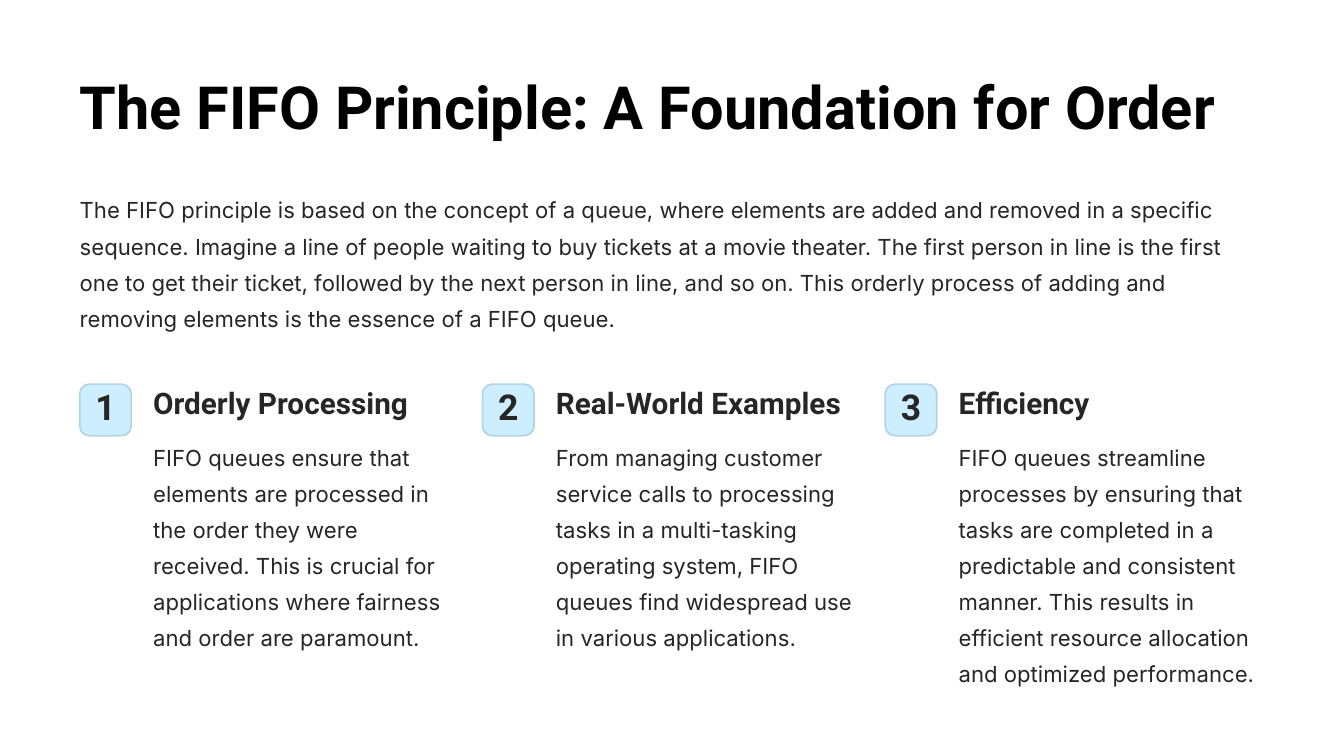
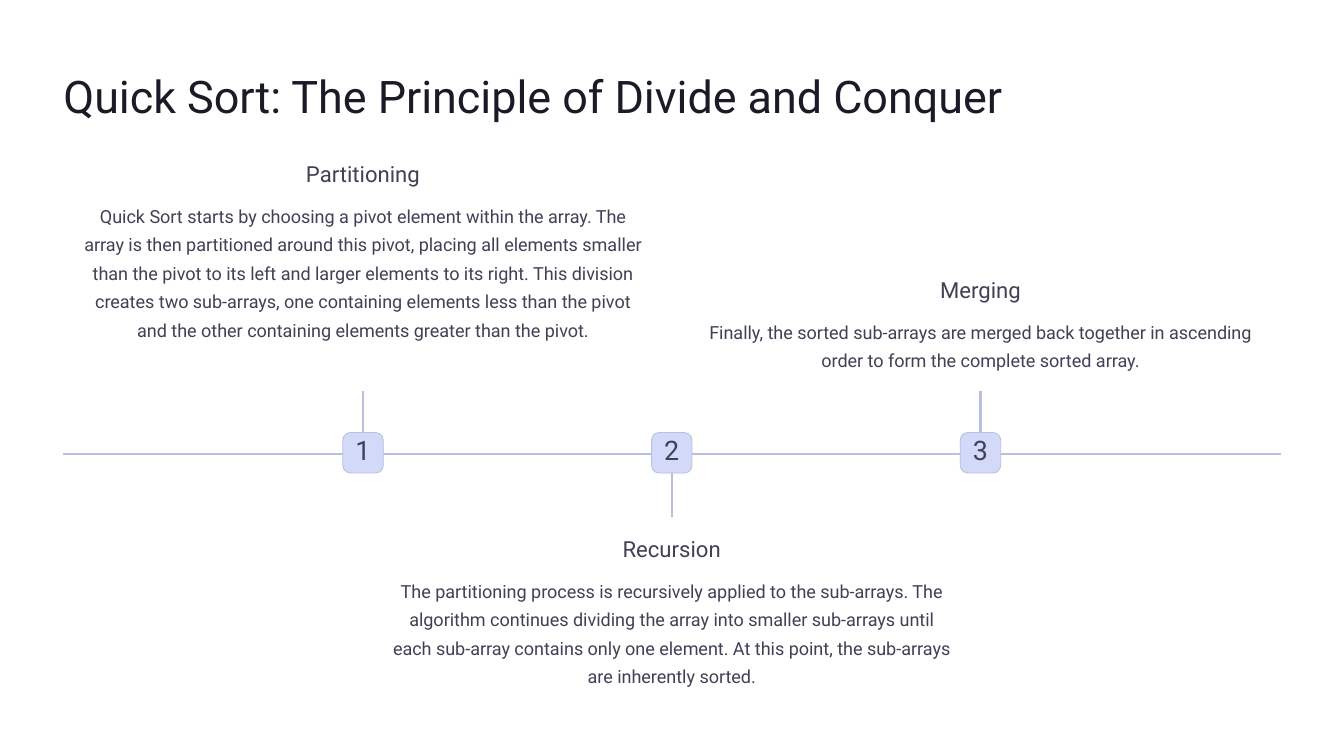
from dataclasses import dataclass

from lxml.etree import SubElement
from pptx import Presentation
from pptx.dml.color import RGBColor as Rgb
from pptx.enum.shapes import MSO_CONNECTOR as Connector, MSO_SHAPE as Preset
from pptx.enum.text import MSO_ANCHOR as Anchor, PP_ALIGN as Align
from pptx.oxml.ns import qn
from pptx.util import Cm, Pt


@dataclass(frozen=True)
class TextStyle:
    size: float
    leading: float
    color: str
    font: str = "Roboto"
    bold: bool = False
    align: Align = Align.LEFT
    wrap: bool = False


@dataclass(frozen=True)
class BadgeStyle:
    side: float
    fill: str
    line: str
    weight: float
    text: TextStyle


class Theme:
    ink = "272525"
    slate = "404155"
    rail = "B8BFDF"
    rail_weight = 1.5
    corner = 0.187

    fifo_title = TextStyle(42.5, 52.9, "000000", bold=True)
    fifo_head = TextStyle(21.2, 26.2, ink, bold=True)
    fifo_body = TextStyle(15.8, 25.8, ink, font="Inter", wrap=True)
    fifo_badge = BadgeStyle(1.3, "CCEEFF", "B2D4E5", 1.2, TextStyle(
        25.4, 25.4, ink, bold=True, align=Align.CENTER))

    sort_title = TextStyle(32.1, 40, "1B1B27")
    sort_head = TextStyle(15.8, 20, slate, align=Align.CENTER)
    sort_body = TextStyle(12.9, 20.4, slate, align=Align.CENTER, wrap=True)
    sort_badge = BadgeStyle(1.02, "D2D9F9", rail, 0.6, TextStyle(
        19.2, 19.2, slate, align=Align.CENTER))


FIFO_INTRO = (
    "The FIFO principle is based on the concept of a queue, where elements are "
    "added and removed in a specific sequence. Imagine a line of people waiting "
    "to buy tickets at a movie theater. The first person in line is the first "
    "one to get their ticket, followed by the next person in line, and so on. "
    "This orderly process of adding and removing elements is the essence of a "
    "FIFO queue."
)

FIFO_POINTS = [
    ("Orderly Processing",
     "FIFO queues ensure that elements are processed in the order they were "
     "received. This is crucial for applications where fairness and order are "
     "paramount."),
    ("Real-World Examples",
     "From managing customer service calls to processing tasks in a "
     "multi-tasking operating system, FIFO queues find widespread use in "
     "various applications."),
    ("Efficiency",
     "FIFO queues streamline processes by ensuring that tasks are completed in "
     "a predictable and consistent manner. This results in efficient resource "
     "allocation and optimized performance."),
]

SORT_STEPS = [
    ("Partitioning", 4.01, 4.37, -1,
     "Quick Sort starts by choosing a pivot element within the array. The array "
     "is then partitioned around this pivot, placing all elements smaller than "
     "the pivot to its left and larger elements to its right. This division "
     "creates two sub-arrays, one containing elements less than the pivot and "
     "the other containing elements greater than the pivot."),
    ("Recursion", 13.46, 2.92, 1,
     "The partitioning process is recursively applied to the sub-arrays. The "
     "algorithm continues dividing the array into smaller sub-arrays until each "
     "sub-array contains only one element. At this point, the sub-arrays are "
     "inherently sorted."),
    ("Merging", 6.93, 1.45, -1,
     "Finally, the sorted sub-arrays are merged back together in ascending "
     "order to form the complete sorted array."),
]


def apply_format(target, values):
    for name, value in values.items():
        setattr(target, name, value)


def write_text(shape, text, style, margin_top=0):
    frame = shape.text_frame
    apply_format(frame, {
        "margin_left": 0, "margin_right": 0, "margin_bottom": 0,
        "margin_top": Cm(margin_top), "word_wrap": style.wrap,
        "vertical_anchor": Anchor.TOP,
    })
    para = frame.paragraphs[0]
    apply_format(para, {"alignment": style.align,
                        "line_spacing": Pt(style.leading)})
    span = para.add_run()
    span.text = text
    apply_format(span.font, {"name": style.font, "size": Pt(style.size),
                             "bold": style.bold})
    span.font.color.rgb = Rgb.from_string(style.color)


def add_text(page, text, style, left, top, width, height):
    box = page.shapes.add_textbox(Cm(left), Cm(top), Cm(width), Cm(height))
    write_text(box, text, style)


def add_badge(page, number, style, left, top):
    side = Cm(style.side)
    badge = page.shapes.add_shape(
        Preset.ROUNDED_RECTANGLE, Cm(left), Cm(top), side, side)
    badge.adjustments[0] = Theme.corner
    badge.shadow.inherit = False
    badge.fill.solid()
    badge.fill.fore_color.rgb = Rgb.from_string(style.fill)
    badge.line.color.rgb = Rgb.from_string(style.line)
    badge.line.width = Pt(style.weight)
    write_text(badge, str(number), style.text, margin_top=0.12)


def add_rail(page, x1, y1, x2, y2):
    rail = page.shapes.add_connector(
        Connector.STRAIGHT, Cm(x1), Cm(y1), Cm(x2), Cm(y2))
    rail.line.color.rgb = Rgb.from_string(Theme.rail)
    rail.line.width = Pt(Theme.rail_weight)
    SubElement(rail._element.spPr, qn("a:effectLst"))


def add_page(deck):
    return deck.slides.add_slide(deck.slide_layouts[6])


def build_fifo_page(deck):
    page = add_page(deck)
    margin, top, pitch, indent = 2.01, 9.68, 10.15, 1.85
    add_text(page, "The FIFO Principle: A Foundation for Order",
             Theme.fifo_title, margin, 1.7, 29.74, 1.88)
    add_text(page, FIFO_INTRO, Theme.fifo_body, margin, 4.72, 29.87, 3.66)
    for index, (head, body) in enumerate(FIFO_POINTS):
        left = margin + index * pitch
        add_badge(page, index + 1, Theme.fifo_badge, left, top)
        add_text(page, head, Theme.fifo_head, left + indent, top, 7.49, 0.94)
        add_text(page, body, Theme.fifo_body,
                 left + indent, top + 1.27, 7.72, 6.4)


def build_sort_page(deck):
    page = add_page(deck)
    margin, axis, first, pitch, stem = 1.6, 11.44, 9.15, 7.78, 1.6
    head_width, body_width = 5.69, 14.2
    side = Theme.sort_badge.side
    add_text(page, "Quick Sort: The Principle of Divide and Conquer",
             Theme.sort_title, margin, 1.68, 25.5, 1.42)
    add_rail(page, margin, axis, 32.28, axis)
    for index, (head, top, height, side_of_axis, body) in enumerate(SORT_STEPS):
        center = first + index * pitch
        add_rail(page, center, axis, center, axis + side_of_axis * stem)
        add_badge(page, index + 1, Theme.sort_badge,
                  center - side / 2, axis - side / 2 - 0.03)
        add_text(page, head, Theme.sort_head,
                 center - head_width / 2, top, head_width, 0.71)
        add_text(page, body, Theme.sort_body,
                 center - body_width / 2, top + 0.99, body_width, height)


def main():
    deck = Presentation()
    apply_format(deck, {"slide_width": Cm(33.87), "slide_height": Cm(19.05)})
    build_fifo_page(deck)
    build_sort_page(deck)
    deck.save("out.pptx")


if __name__ == "__main__":
    main()
